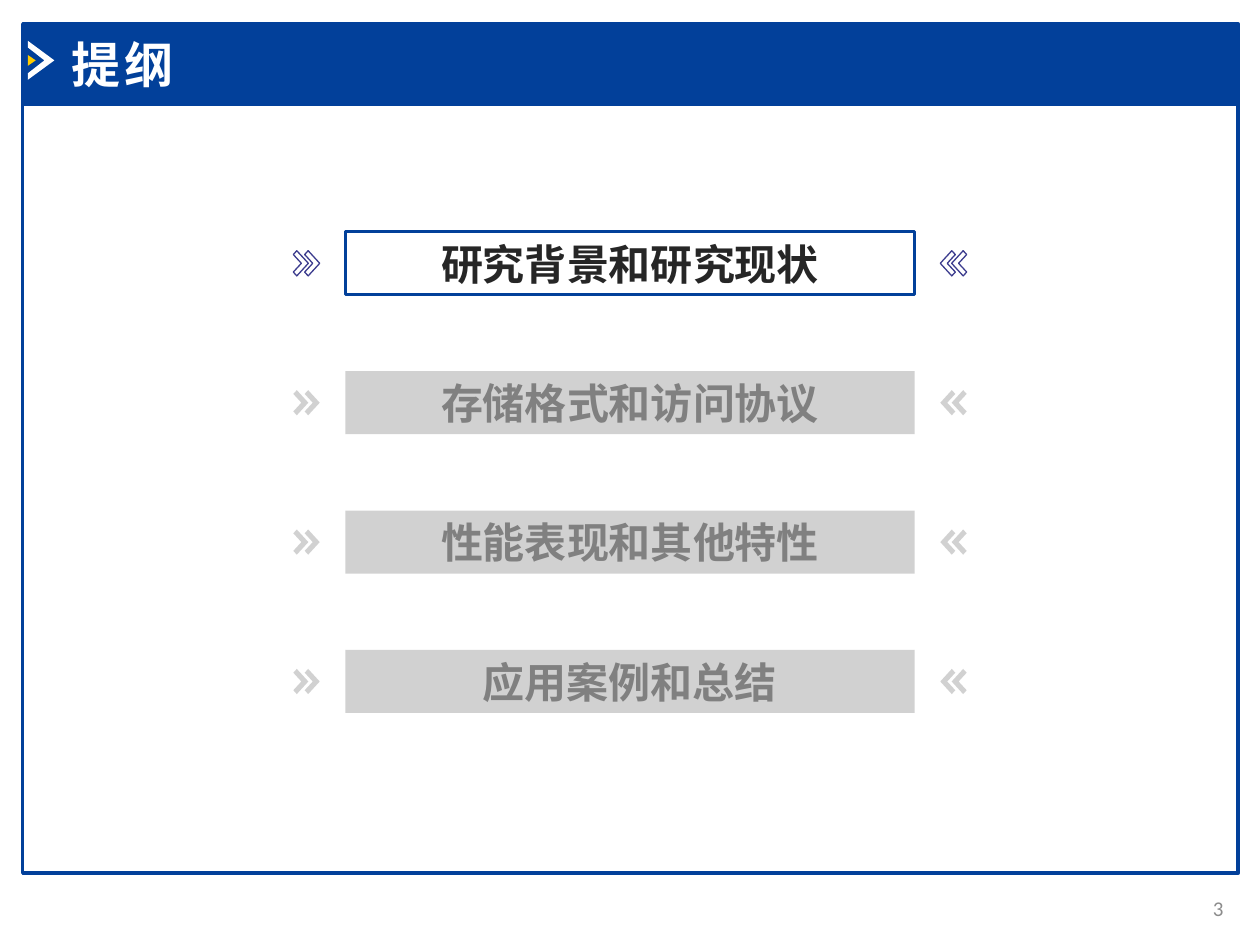
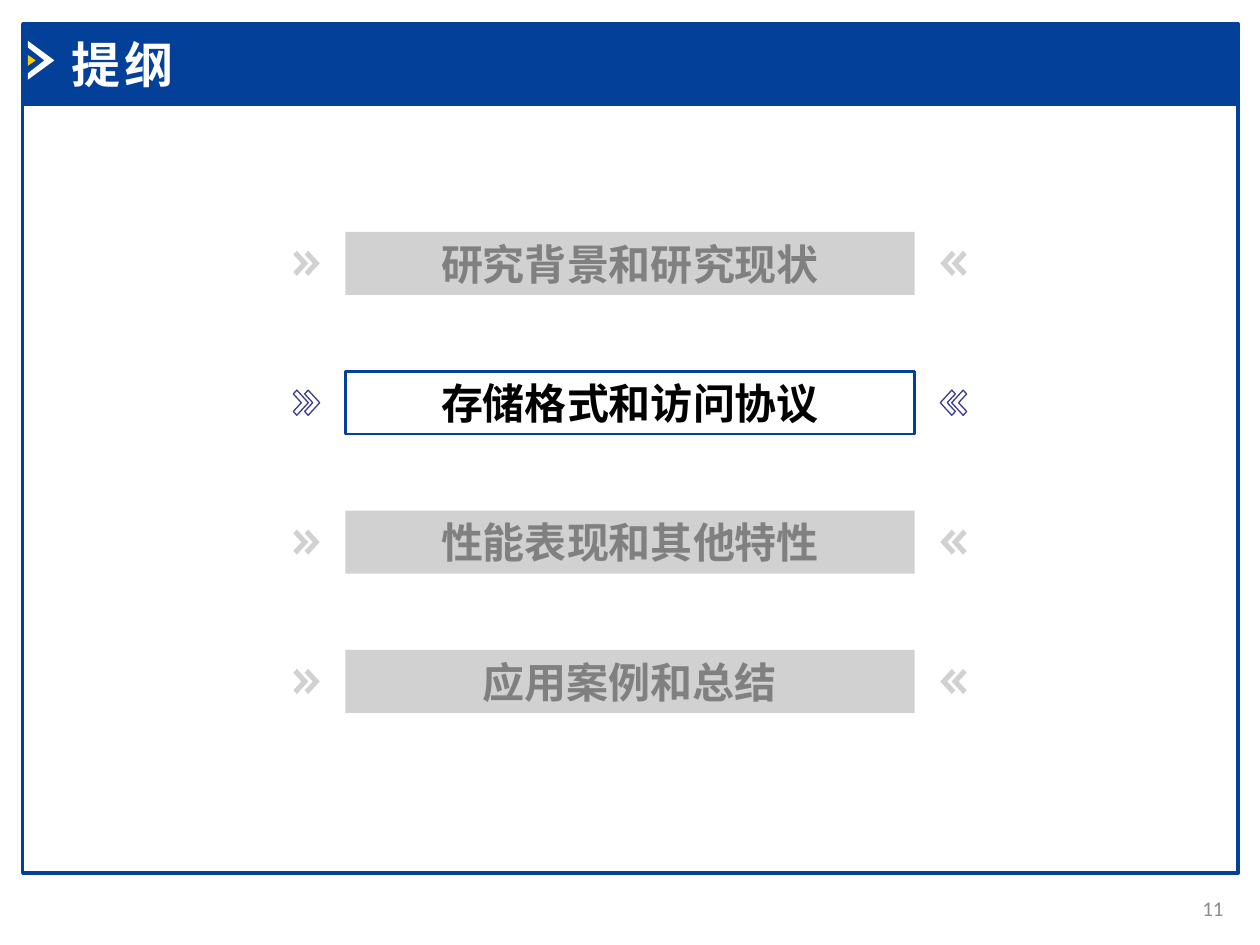
from pptx import Presentation
from pptx.dml.color import RGBColor
from pptx.enum.shapes import MSO_SHAPE
from pptx.enum.text import MSO_ANCHOR, MSO_AUTO_SIZE, PP_ALIGN
from pptx.oxml.ns import qn
from pptx.oxml.xmlchemy import OxmlElement
from pptx.util import Pt

SLIDE_W, SLIDE_H = 720, 540
BLUE, WHITE, YELLOW = "02409A", "FFFFFF", "FFCC00"
INDIGO, GREY, MUTED, PAGE_GREY = "3C3C8E", "A5A5A5", "808080", "8C8C8C"
LATIN, CJK = "Calibri", "Noto Sans CJK SC"

TOPICS = ["研究背景和研究现状", "存储格式和访问协议", "性能表现和其他特性", "应用案例和总结"]
TOPIC_LEFT, TOPIC_TOP, TOPIC_W, TOPIC_H = 197.3, 132.5, 325.4, 36
TOPIC_PITCH = 79.65

# Right-pointing chevron: x from its left edge, y from its middle
CHEVRON = [(2, -7.2), (0, -5), (4.6, 0), (0, 5), (2, 7.2), (8.6, 0)]
CHEVRON_LEFTS = (167.6, 174.1)

HEADER_CHEVRON = [(15.9, 23.3), (15.9, 27.1), (25.4, 34.5), (15.9, 41.9), (15.9, 45.6), (31.1, 34.5)]
HEADER_WEDGE = [(15.9, 31.4), (20.4, 34.5), (15.9, 37.6)]


def rgb(hex_color):
    return RGBColor.from_string(hex_color)


def paint(shape, fill=None, line=None, weight=1, opacity=100):
    shape.shadow.inherit = False
    if fill:
        shape.fill.solid()
        shape.fill.fore_color.rgb = rgb(fill)
        if opacity < 100:
            alpha = OxmlElement("a:alpha")
            alpha.set("val", str(opacity * 1000))
            shape._element.spPr.find(qn("a:solidFill")).find(qn("a:srgbClr")).append(alpha)
    else:
        shape.fill.background()
    if line:
        shape.line.color.rgb = rgb(line)
        shape.line.width = Pt(weight)
    else:
        shape.line.fill.background()


def add_box(slide, left, top, width, height, **style):
    box = slide.shapes.add_shape(MSO_SHAPE.RECTANGLE, Pt(left), Pt(top), Pt(width), Pt(height))
    paint(box, **style)
    return box


def add_polygon(slide, points, **style):
    corners = [(Pt(x), Pt(y)) for x, y in points]
    builder = slide.shapes.build_freeform(*corners[0])
    builder.add_line_segments(corners[1:], close=True)
    paint(builder.convert_to_shape(), **style)


def write(shape, text, size, color, align, bold=False, spacing=0):
    """Put one vertically centred line of text into a shape."""
    frame = shape.text_frame
    frame.word_wrap = True
    frame.auto_size = MSO_AUTO_SIZE.NONE
    frame.vertical_anchor = MSO_ANCHOR.MIDDLE
    frame.margin_top = frame.margin_bottom = 0
    paragraph = frame.paragraphs[0]
    paragraph.alignment = align
    run = paragraph.add_run()
    run.text = text
    run.font.name = LATIN
    run.font.size = Pt(size)
    run.font.bold = bold
    run.font.color.rgb = rgb(color)
    properties = run._r.get_or_add_rPr()
    if spacing:
        properties.set("spc", str(spacing * 100))
    east_asian = OxmlElement("a:ea")
    east_asian.set("typeface", CJK)
    properties.find(qn("a:latin")).addnext(east_asian)


def add_header(slide, heading):
    add_box(slide, 13, 59.8, 694.6, 439.2, line=BLUE, weight=2)
    add_box(slide, 13, 13.7, 694.6, 46.1, fill=BLUE, line=BLUE, weight=2)
    add_polygon(slide, HEADER_CHEVRON, fill=WHITE)
    add_polygon(slide, HEADER_WEDGE, fill=YELLOW)
    title = slide.shapes.title
    title.left, title.top, title.width, title.height = Pt(33.8), Pt(15.8), Pt(256), Pt(41)
    write(title, heading, 28, WHITE, PP_ALIGN.LEFT, bold=True, spacing=2)
    slide.shapes._spTree.append(title._element)  # in front of the band


def add_page_number(slide, number):
    page = slide.shapes.add_textbox(Pt(663.8), Pt(504.7), Pt(42.5), Pt(28.8))
    write(page, str(number), 12, PAGE_GREY, PP_ALIGN.RIGHT)


def add_chevrons(slide, middle, **style):
    """Draw the pair at the left of a topic and its mirror image at the right."""
    for left in CHEVRON_LEFTS:
        points = [(left + x, middle + y) for x, y in CHEVRON]
        add_polygon(slide, points, **style)
        add_polygon(slide, [(SLIDE_W - x, y) for x, y in points], **style)


def add_topic(slide, row, topic, active_color=None):
    """Draw one outline row; a row with active_color is the current one."""
    top = TOPIC_TOP + row * TOPIC_PITCH
    faded = {"fill": GREY, "opacity": 50}
    box_style = {"line": BLUE, "weight": 1.5} if active_color else faded
    chevron_style = {"line": INDIGO, "weight": 0.75} if active_color else faded
    box = add_box(slide, TOPIC_LEFT, top, TOPIC_W, TOPIC_H, **box_style)
    write(box, topic, 24, active_color or MUTED, PP_ALIGN.CENTER, bold=True)
    add_chevrons(slide, top + TOPIC_H / 2, **chevron_style)


def add_outline_slide(deck, page, active_row, active_color):
    slide = deck.slides.add_slide(deck.slide_layouts.get_by_name("Title Only"))
    add_header(slide, "提纲")
    add_page_number(slide, page)
    for row, topic in enumerate(TOPICS):
        add_topic(slide, row, topic, active_color if row == active_row else None)


def main():
    deck = Presentation()
    deck.slide_width, deck.slide_height = Pt(SLIDE_W), Pt(SLIDE_H)
    add_outline_slide(deck, page=3, active_row=0, active_color="262626")
    add_outline_slide(deck, page=11, active_row=1, active_color="000000")
    deck.save("out.pptx")


if __name__ == "__main__":
    main()
